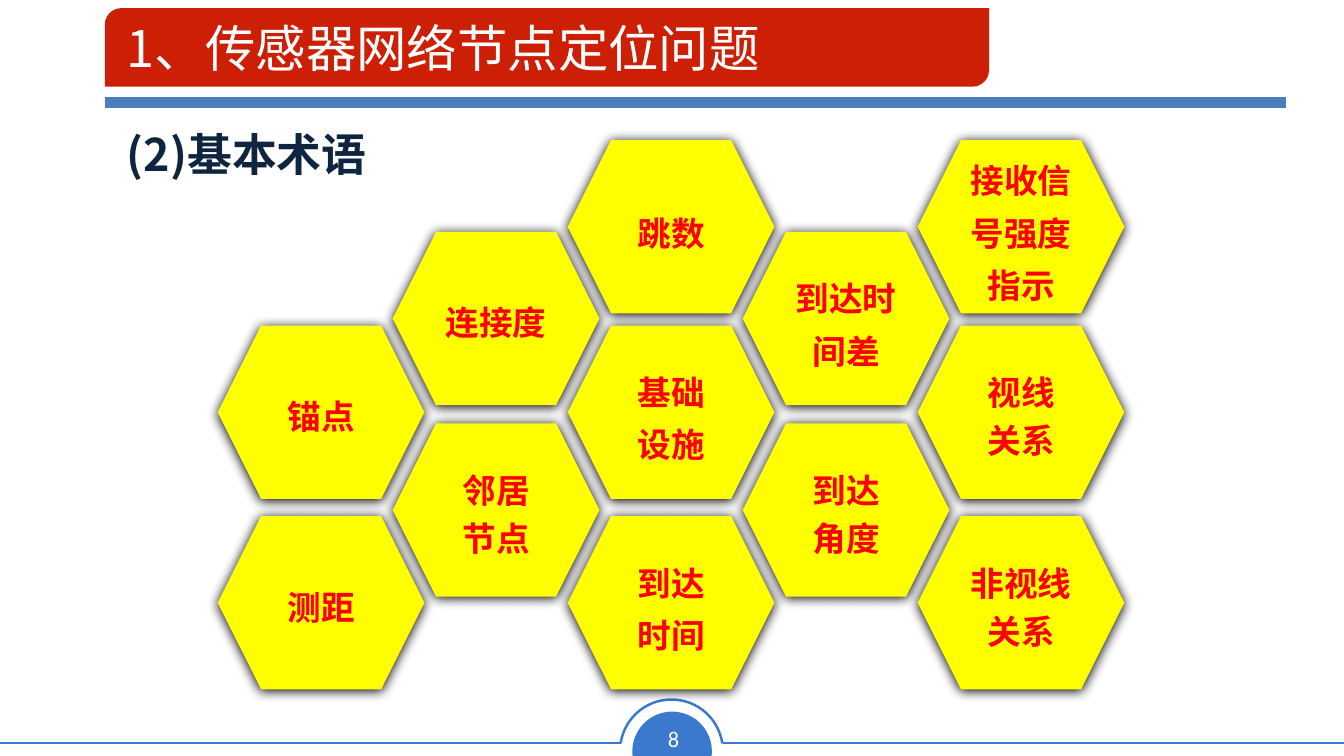
from dataclasses import dataclass
from lxml.etree import SubElement as Sub
from pptx import Presentation
from pptx.dml.color import RGBColor
from pptx.enum.shapes import MSO_CONNECTOR as Link, MSO_SHAPE as Kind
from pptx.enum.text import MSO_ANCHOR as Anchor, PP_ALIGN as Align
from pptx.oxml.ns import qn
from pptx.util import Inches, Pt

WIDE, HIGH = Inches(13.33), Inches(7.5)
SANS, LATIN = "Noto Sans CJK SC", "Calibri"
BLUE, STEEL, RED, WHITE = "3B79CE", "4B7EBC", "CD1F06", "FFFFFF"
NAVY, YELLOW, INK = "0F243E", "FFFF00", "FF0000"
LEFT, PITCH = 16.2, 13.02
TOPS = (18.53, 30.67, 43.07, 56, 68.27)
TIGHT, LOOSE = 1.2, 1.3


@dataclass
class Box:
    left: float
    top: float
    width: float
    height: float

    def place(self) -> tuple[int, int, int, int]:
        return (across(self.left), down(self.top),
                across(self.width), down(self.height))


@dataclass
class Rule:
    start: float
    end: float
    level: float
    color: str
    weight: float


@dataclass
class Label:
    text: str
    box: Box
    size: int
    font: str
    color: str
    bold: bool = False
    center: bool = False
    wrap: bool = False


@dataclass
class Cell:
    text: str
    col: int
    row: int
    pitch: float = TIGHT


def across(share: float) -> int:
    return round(WIDE * share / 100)


def down(share: float) -> int:
    return round(HIGH * share / 100)


def tint(code: str) -> RGBColor:
    return RGBColor.from_string(code)


def write(frame, text: str, size: int, font: str, color: str,
          bold: bool, center: bool, pitch: float | None = None) -> None:
    frame.text = text
    frame.vertical_anchor = Anchor.MIDDLE
    for para in frame.paragraphs:
        para.alignment = Align.CENTER if center else Align.LEFT
        if pitch:
            para.line_spacing = pitch
        for run in para.runs:
            run.font.size = Pt(size)
            run.font.bold = bold
            run.font.color.rgb = tint(color)
            run.font.name = font
            Sub(run._r.get_or_add_rPr(), qn("a:ea"), typeface=font)


def draw_shape(slide, kind: Kind, box: Box, fill: str | None,
               adjust: tuple[float, ...] = ()):
    shape = slide.shapes.add_shape(kind, *box.place())
    shape.shadow.inherit = False
    if fill:
        shape.fill.solid()
        shape.fill.fore_color.rgb = tint(fill)
    else:
        shape.fill.background()
    shape.line.fill.background()
    for index, value in enumerate(adjust):
        shape.adjustments[index] = value
    return shape


def draw_rule(slide, rule: Rule) -> None:
    level = down(rule.level)
    line = slide.shapes.add_connector(
        Link.STRAIGHT, across(rule.start), level, across(rule.end), level)
    line.line.color.rgb = tint(rule.color)
    line.line.width = Pt(rule.weight)
    Sub(line._element.spPr, qn("a:effectLst"))


def draw_label(slide, label: Label) -> None:
    frame = slide.shapes.add_textbox(*label.box.place()).text_frame
    frame.word_wrap = label.wrap
    write(frame, label.text, label.size, label.font, label.color,
          label.bold, label.center)


def draw_cell(slide, cell: Cell) -> None:
    box = Box(LEFT + cell.col * PITCH, TOPS[cell.row], 15.38, 22.93)
    shape = draw_shape(slide, Kind.HEXAGON, box, YELLOW)
    glow = Sub(shape._element.spPr.find(qn("a:effectLst")), qn("a:outerShdw"),
               blurRad=str(Pt(8.5)), dist=str(Pt(1)), dir="5400000",
               algn="ctr", rotWithShape="0")
    Sub(glow, qn("a:srgbClr"), val="000000")
    shape.text_frame.word_wrap = True
    write(shape.text_frame, cell.text, 24, SANS, INK, True, True, cell.pitch)


RULES = (
    Rule(53.79, 100, 98.27, BLUE, 1.77),
    Rule(0, 46.21, 98.27, BLUE, 1.77),
    Rule(7.8, 95.72, 13.6, STEEL, 8),
)
LABELS = (
    Label("8", Box(48.39, 95.2, 3.45, 4.93), 16, LATIN, WHITE, center=True),
    Label("1、传感器网络节点定位问题", Box(8.7, 1.33, 86.8, 9.87),
          36, SANS, WHITE, wrap=True),
    Label("(2)基本术语", Box(8.7, 16, 21.5, 8.53), 32, SANS, NAVY, bold=True),
)
CELLS = (
    Cell("非视线关系", 4, 4),
    Cell("测距", 0, 4),
    Cell("锚点", 0, 2),
    Cell("邻居\n节点", 1, 3),
    Cell("连接度", 1, 1),
    Cell("到达\n时间", 2, 4, LOOSE),
    Cell("基础\n设施", 2, 2, LOOSE),
    Cell("跳数", 2, 0, LOOSE),
    Cell("到达\n角度", 3, 3),
    Cell("视线\n关系", 4, 2),
    Cell("到达时间差", 3, 1, LOOSE),
    Cell("接收信号强度指示", 4, 0, LOOSE),
)


def main() -> None:
    deck = Presentation()
    deck.slide_width, deck.slide_height = WIDE, HIGH
    slide = deck.slides.add_slide(deck.slide_layouts[6])
    badge = draw_shape(slide, Kind.CHORD, Box(47.04, 94.13, 5.93, 10.53),
                       BLUE, (35.77, 153.29))
    badge.rotation = 112.4
    for rule in RULES:
        draw_rule(slide, rule)
    ring = draw_shape(slide, Kind.ARC, Box(46.14, 92.53, 7.65, 13.6),
                      None, (113.17, 210.98))
    ring.line.color.rgb = tint(BLUE)
    ring.line.width = Pt(1.77)
    draw_shape(slide, Kind.ROUND_2_DIAG_RECTANGLE,
               Box(7.8, 1.07, 65.79, 10.4), RED, (0.21, 0))
    for label in LABELS:
        draw_label(slide, label)
    for cell in CELLS:
        draw_cell(slide, cell)
    deck.save("out.pptx")


if __name__ == "__main__":
    main()
